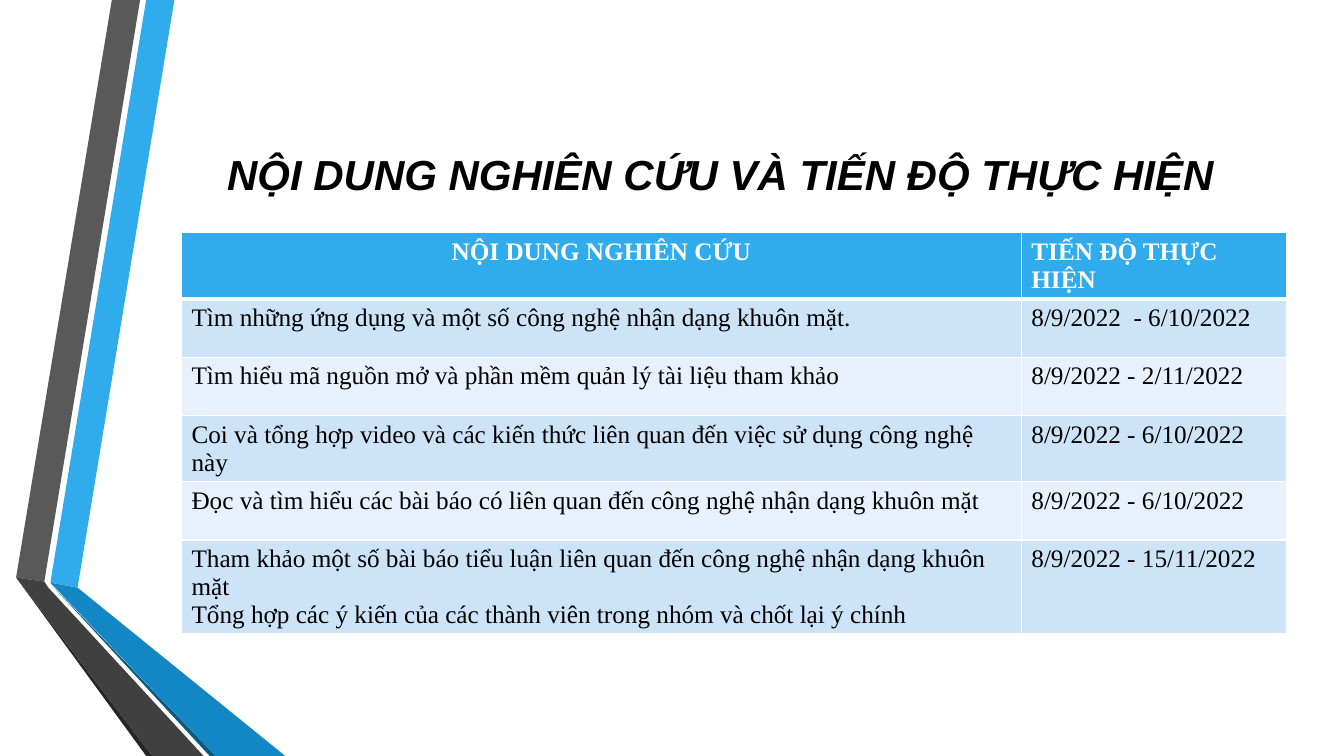
from lxml import etree
from pptx import Presentation
from pptx.dml.color import RGBColor
from pptx.enum.text import MSO_ANCHOR, MSO_AUTO_SIZE, PP_ALIGN
from pptx.oxml.ns import qn
from pptx.util import Inches, Pt

CENTER = PP_ALIGN.CENTER
LEFT = PP_ALIGN.LEFT
MIDDLE = MSO_ANCHOR.MIDDLE
NO_FIT = MSO_AUTO_SIZE.NONE
TITLE_ONLY = 5

WHITE = "FFFFFF"
BLACK = "000000"
BLUE = "30ACEC"
BANDS = ["CDE3F8", "E8F1FB"]

TITLE_FONT = {"name": "Arial", "size": Pt(30), "bold": True, "italic": True}
HEADER_FONT = {"name": "Times New Roman", "size": Pt(18), "bold": True}
ENTRY_FONT = {**HEADER_FONT, "bold": False}

RIBBONS = [
    (BLUE, [(0.34, 5.78), (0.61, 5.83), (1.57, 0), (1.29, 0)]),
    ("595959", [(1.23, 0), (0.95, 0), (0, 5.73), (0.28, 5.77)]),
    ("262626", [(0, 5.73), (1.29, 7.5), (1.35, 7.5)]),
    ("0C5A82", [(0.34, 5.79), (1.92, 7.5), (1.98, 7.5)]),
    ("1287C3", [(0.34, 5.78), (1.98, 7.5), (2.67, 7.5), (0.61, 5.83)]),
    ("404040", [(1.86, 7.5), (0.32, 5.83), (0.28, 5.77), (0, 5.73), (1.35, 7.5)]),
]

SCHEDULE = [
    ("NỘI DUNG NGHIÊN CỨU", "TIẾN ĐỘ THỰC HIỆN"),
    ("Tìm những ứng dụng và một số công nghệ nhận dạng khuôn mặt.",
     "8/9/2022  - 6/10/2022"),
    ("Tìm hiểu mã nguồn mở và phần mềm quản lý tài liệu tham khảo",
     "8/9/2022 - 2/11/2022"),
    ("Coi và tổng hợp video và các kiến thức liên quan đến việc sử dụng công nghệ này",
     "8/9/2022 - 6/10/2022"),
    ("Đọc và tìm hiểu các bài báo có liên quan đến công nghệ nhận dạng khuôn mặt",
     "8/9/2022 - 6/10/2022"),
    ("Tham khảo một số bài báo tiểu luận liên quan đến công nghệ nhận dạng khuôn mặt\n"
     "Tổng hợp các ý kiến của các thành viên trong nhóm và chốt lại ý chính",
     "8/9/2022 - 15/11/2022"),
]


def paint(color_format, hex_color):
    color_format.rgb = RGBColor.from_string(hex_color)


def apply_format(target, values):
    for attribute, value in values.items():
        setattr(target, attribute, value)


def style_text(frame, font_values, hex_color, alignment):
    for paragraph in frame.paragraphs:
        paragraph.alignment = alignment
        for run in paragraph.runs:
            apply_format(run.font, font_values)
            paint(run.font.color, hex_color)


def add_ribbons(slide, left, top):
    for hex_color, corners in RIBBONS:
        points = [(Inches(left + x), Inches(top + y)) for x, y in corners]
        builder = slide.shapes.build_freeform(*points[0])
        builder.add_line_segments(points[1:], close=True)
        ribbon = builder.convert_to_shape()
        ribbon.shadow.inherit = False
        ribbon.fill.solid()
        paint(ribbon.fill.fore_color, hex_color)
        ribbon.line.fill.background()


def add_title(slide, left, top, width, height):
    title = slide.shapes.title
    apply_format(title, {"left": Inches(left), "top": Inches(top),
                         "width": Inches(width), "height": Inches(height)})
    frame = title.text_frame
    frame.text = "NỘI DUNG NGHIÊN CỨU VÀ TIẾN ĐỘ THỰC HIỆN"
    apply_format(frame, {"word_wrap": True, "auto_size": NO_FIT,
                         "vertical_anchor": MIDDLE})
    style_text(frame, TITLE_FONT, BLACK, CENTER)


def add_borders(cell, widths):
    properties = cell._tc.get_or_add_tcPr()
    for side, width in widths.items():
        border = etree.SubElement(properties, qn(f"a:{side}"), w=str(Pt(width)))
        fill = etree.SubElement(border, qn("a:solidFill"))
        etree.SubElement(fill, qn("a:srgbClr"), val=WHITE)


def add_schedule(slide, left, top, column_widths, row_height):
    table = slide.shapes.add_table(
        len(SCHEDULE), len(column_widths), Inches(left), Inches(top),
        Inches(sum(column_widths)), Inches(row_height * len(SCHEDULE))).table
    for column, width in zip(table.columns, column_widths):
        column.width = Inches(width)
    for row_index, entries in enumerate(SCHEDULE):
        is_header = row_index == 0
        for column_index, entry in enumerate(entries):
            cell = table.cell(row_index, column_index)
            cell.text = entry
            add_borders(cell, {"lnL": 1, "lnR": 1,
                               "lnT": 3 if row_index == 1 else 1,
                               "lnB": 3 if is_header else 1})
            cell.fill.solid()
            paint(cell.fill.fore_color,
                  BLUE if is_header else BANDS[(row_index - 1) % 2])
            style_text(cell.text_frame,
                       HEADER_FONT if is_header else ENTRY_FONT,
                       WHITE if is_header else BLACK,
                       CENTER if is_header and column_index == 0 else LEFT)


def main():
    presentation = Presentation()
    presentation.slide_width = Inches(13.33)
    presentation.slide_height = Inches(7.5)
    slide = presentation.slides.add_slide(presentation.slide_layouts[TITLE_ONLY])
    add_ribbons(slide, 0.16, 0)
    add_title(slide, 0.97, 1.04, 12.36, 1.37)
    add_schedule(slide, 1.8, 2.31, [8.33, 2.63], 0.58)
    presentation.save("out.pptx")


if __name__ == "__main__":
    main()
